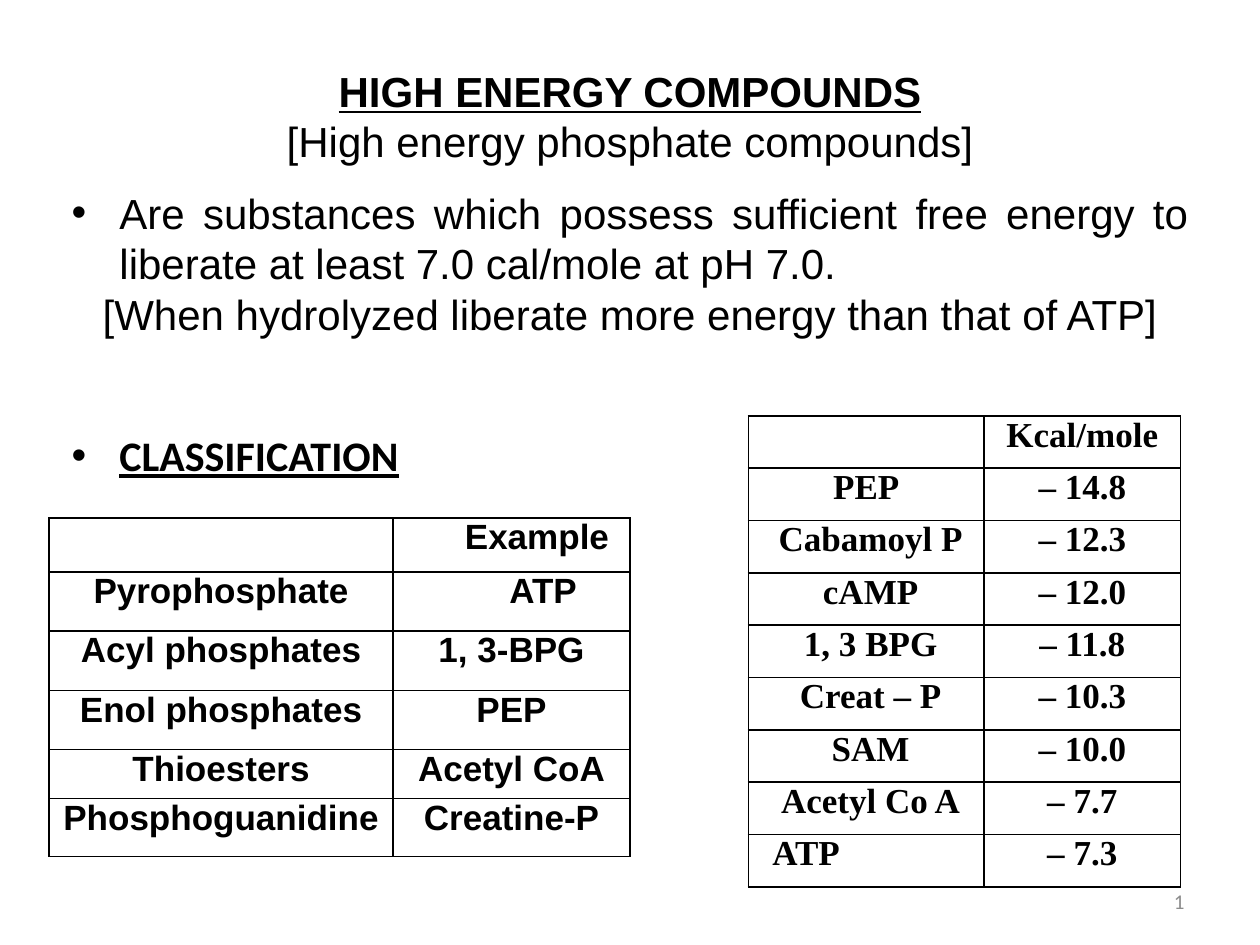
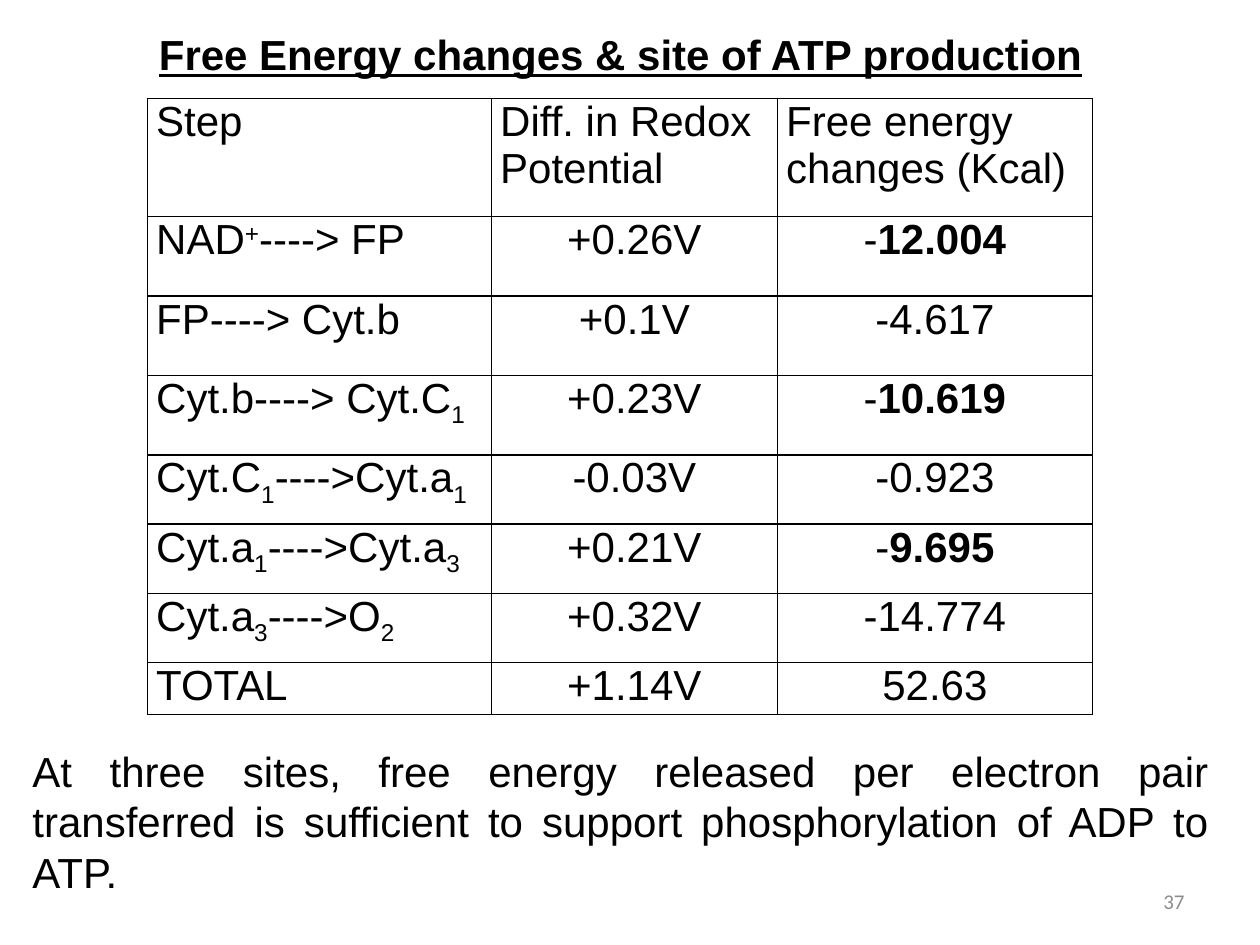
from lxml import etree
from pptx import Presentation
from pptx.dml.color import RGBColor
from pptx.enum import text as t
from pptx.oxml import ns
from pptx.util import Inches, Pt

BLACK = RGBColor(0, 0, 0)
GREY = RGBColor(0x8C, 0x8C, 0x8C)
SANS, SERIF, FOOTER_FONT = "Arial", "Times New Roman", "Calibri"
LEFT, CENTER, RIGHT, JUSTIFY = (
    t.PP_ALIGN.LEFT, t.PP_ALIGN.CENTER, t.PP_ALIGN.RIGHT, t.PP_ALIGN.JUSTIFY)
SUB, SUPER, BOLD = "-25000", "30000", "bold"
HANGING = Inches(0.38)
SPACE_INDENT = 0.07

CLASSES = [
    ["", "Example"],
    ["Pyrophosphate", "ATP"],
    ["Acyl phosphates", "1, 3-BPG"],
    ["Enol phosphates", "PEP"],
    ["Thioesters", "Acetyl CoA"],
    ["Phosphoguanidine", "Creatine-P"],
]
ENERGIES = [
    ["", "Kcal/mole"],
    ["PEP", "– 14.8"],
    ["Cabamoyl P", "– 12.3"],
    ["cAMP", "– 12.0"],
    ["1, 3 BPG", "– 11.8"],
    ["Creat – P", "– 10.3"],
    ["SAM", "– 10.0"],
    ["Acetyl Co A", "– 7.7"],
    ["ATP", "– 7.3"],
]
REDOX_STEPS = [
    ["Step", "Diff. in Redox Potential", "Free energy changes (Kcal)"],
    [["NAD", ("+", SUPER), "----> FP"], "+0.26V", ["-", ("12.004", BOLD)]],
    ["FP----> Cyt.b", "+0.1V", "-4.617"],
    [["Cyt.b----> Cyt.C", ("1", SUB)], "+0.23V", ["-", ("10.619", BOLD)]],
    [["Cyt.C", ("1", SUB), "---->Cyt.a", ("1", SUB)], "-0.03V", "-0.923"],
    [["Cyt.a", ("1", SUB), "---->Cyt.a", ("3", SUB)], "+0.21V", ["-", ("9.695", BOLD)]],
    [["Cyt.a", ("3", SUB), "---->O", ("2", SUB)], "+0.32V", "-14.774"],
    ["TOTAL", "+1.14V", "52.63"],
]


def set_indent(paragraph, margin, indent):
    """Set the left margin and first-line indent of a paragraph."""
    properties = paragraph._p.get_or_add_pPr()
    properties.set("marL", str(int(margin)))
    properties.set("indent", str(int(indent)))


def add_bullet(paragraph):
    """Give a paragraph a round bullet with a hanging indent."""
    set_indent(paragraph, HANGING, -HANGING)
    properties = paragraph._p.get_or_add_pPr()
    etree.SubElement(properties, ns.qn("a:buFont")).set("typeface", "Arial")
    etree.SubElement(properties, ns.qn("a:buChar")).set("char", "•")


def write(paragraph, content, align=LEFT, size=24, font=SANS, color=BLACK,
          bold=False, underline=False, before=0, bullet=False):
    """Fill a paragraph with text or a list of plain and styled pieces."""
    paragraph.alignment = align
    if before:
        paragraph.space_before = Pt(before)
    if bullet:
        add_bullet(paragraph)
    paragraph.font.name = font
    paragraph.font.size = Pt(size)
    paragraph.font.bold = bold
    paragraph.font.underline = underline
    paragraph.font.color.rgb = color
    for piece in [content] if isinstance(content, str) else content:
        words, style = (piece, None) if isinstance(piece, str) else piece
        run = paragraph.add_run()
        run.text = words
        if style == BOLD:
            run.font.bold = True
        elif style:
            run._r.get_or_add_rPr().set("baseline", style)


def add_text(slide, box, paragraphs, anchor=t.MSO_ANCHOR.MIDDLE):
    """Add a wrapping text box from (content, options) pairs."""
    frame = slide.shapes.add_textbox(*map(Inches, box)).text_frame
    frame.word_wrap = True
    frame.vertical_anchor = anchor
    for index, (content, options) in enumerate(paragraphs):
        paragraph = frame.add_paragraph() if index else frame.paragraphs[0]
        write(paragraph, content, **options)


def add_page_number(slide, number):
    """Add the grey page number at the lower right."""
    options = dict(align=RIGHT, size=12, font=FOOTER_FONT, color=GREY)
    add_text(slide, (7.17, 6.95, 2.33, 0.4), [(str(number), options)])


def add_borders(cell):
    """Draw a thin black line on all four sides of a cell."""
    properties = cell._tc.get_or_add_tcPr()
    for side in ("lnL", "lnR", "lnT", "lnB"):
        line = etree.SubElement(properties, ns.qn(f"a:{side}"), w=str(Pt(1)))
        fill = etree.SubElement(line, ns.qn("a:solidFill"))
        etree.SubElement(fill, ns.qn("a:srgbClr")).set("val", str(BLACK))


def add_grid(slide, left, top, widths, heights, rows, align_of, **options):
    """Add a ruled table and return it; align_of(row, column) aligns cells."""
    table = slide.shapes.add_table(
        len(rows), len(widths), Inches(left), Inches(top),
        Inches(sum(widths)), Inches(sum(heights))).table
    table.first_row = table.horz_banding = False
    for column, width in zip(table.columns, widths):
        column.width = Inches(width)
    for row, (height, contents) in enumerate(zip(heights, rows)):
        table.rows[row].height = Inches(height)
        for column, content in enumerate(contents):
            cell = table.cell(row, column)
            cell.margin_left = cell.margin_right = Inches(0.07)
            cell.margin_top = cell.margin_bottom = 0
            add_borders(cell)
            cell.fill.background()
            if content:
                write(cell.text_frame.paragraphs[0], content,
                      align=align_of(row, column), **options)
    return table


def indent_cell(table, row, column, inches):
    """Indent the first line of a cell."""
    set_indent(table.cell(row, column).text_frame.paragraphs[0], 0, Inches(inches))


def build_compounds(slide):
    """Build the slide on high energy compounds."""
    heading = dict(bold=True, underline=True)
    add_text(slide, (0.47, 0.47, 9.06, 3.59), [
        ("HIGH ENERGY COMPOUNDS", dict(align=CENTER, **heading)),
        ("[High energy phosphate compounds]", dict(align=CENTER)),
        ("Are substances which possess sufficient free energy to liberate "
         "at least 7.0 cal/mole at pH 7.0.",
         dict(align=JUSTIFY, before=12, bullet=True)),
        ("[When hydrolyzed liberate more energy than that of ATP]",
         dict(align=CENTER)),
        ("CLASSIFICATION",
         dict(font="Calibri", before=52, bullet=True, **heading)),
    ], t.MSO_ANCHOR.TOP)
    add_page_number(slide, 1)

    classes = add_grid(
        slide, 0.39, 4.11, [2.73, 1.88], [0.43, 0.47, 0.47, 0.47, 0.39, 0.46],
        CLASSES, lambda row, column: CENTER if row else JUSTIFY,
        size=20, bold=True)
    for row in (0, 1):
        indent_cell(classes, row, 1, 0.5)

    last = len(ENERGIES) - 1
    energies = add_grid(
        slide, 5.94, 3.3, [1.87, 1.56], [3.74 / len(ENERGIES)] * len(ENERGIES),
        ENERGIES,
        lambda row, column: LEFT if (row, column) == (last, 0) else CENTER,
        size=20, font=SERIF, bold=True)
    for row in range(2, last):
        indent_cell(energies, row, 0, SPACE_INDENT)
    indent_cell(energies, last, 0, 0.12)


def build_redox(slide):
    """Build the slide on free energy changes and ATP production."""
    add_text(slide, (0.08, 0.08, 9.69, 0.7), [
        ("Free Energy changes & site of ATP production",
         dict(align=CENTER, bold=True, underline=True))])
    add_grid(
        slide, 1.17, 0.78, [2.73, 2.27, 2.5],
        [0.94] + [0.63] * 3 + [0.55] * 3 + [0.41], REDOX_STEPS,
        lambda row, column: CENTER if row and column else LEFT)
    add_text(slide, (0.16, 5.86, 9.53, 1.31), [
        ("At three sites, free energy released per electron pair transferred "
         "is sufficient to support phosphorylation of ADP to ATP.",
         dict(align=JUSTIFY))])
    add_page_number(slide, 37)


def main():
    """Build both slides and save the presentation."""
    presentation = Presentation()
    presentation.slide_width = Inches(10)
    presentation.slide_height = Inches(7.5)
    blank = presentation.slide_layouts[6]
    for build in (build_compounds, build_redox):
        build(presentation.slides.add_slide(blank))
    presentation.save("out.pptx")


if __name__ == "__main__":
    main()
